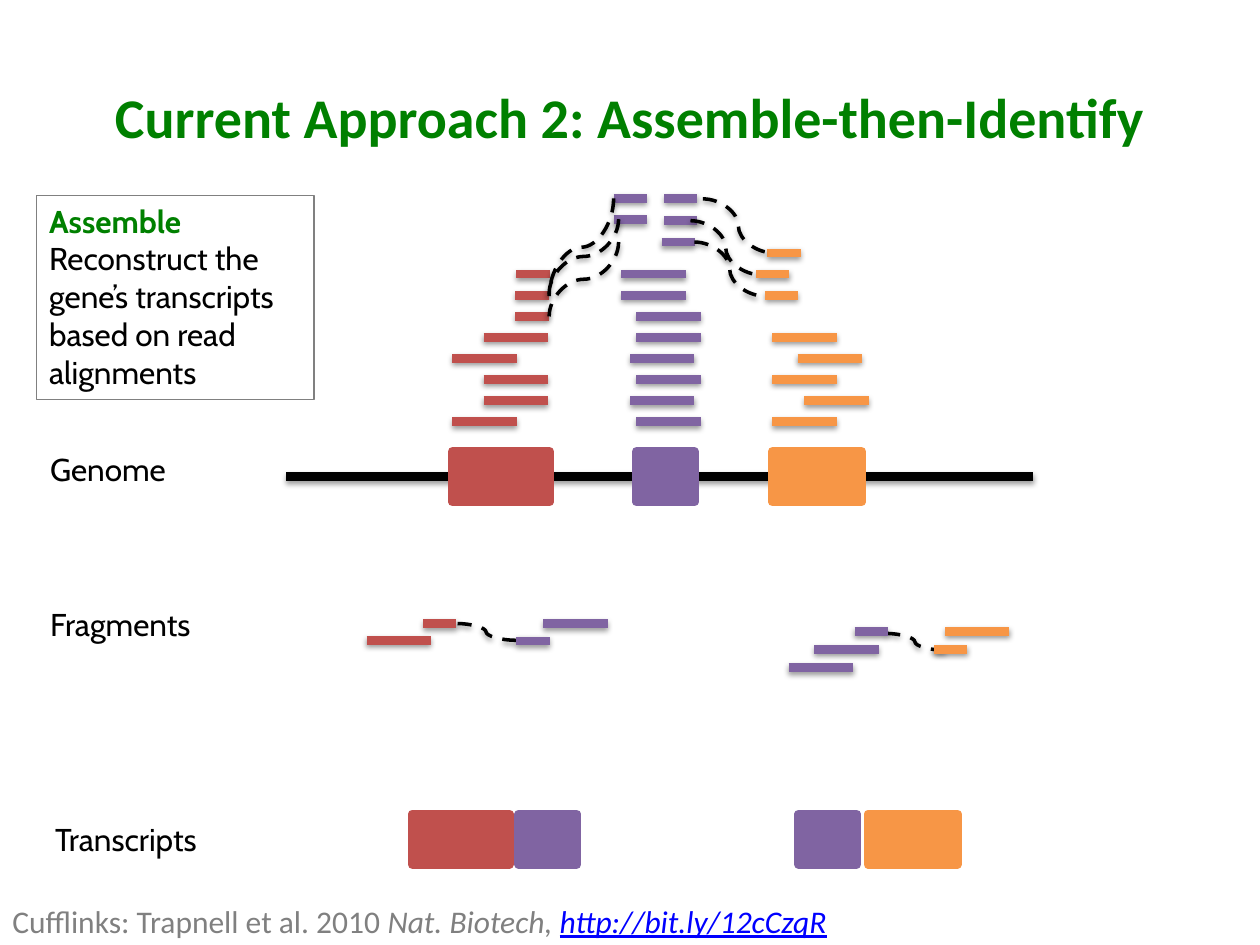
from itertools import chain
from typing import NamedTuple

from lxml.etree import SubElement
from pptx import Presentation
from pptx.dml.color import RGBColor
from pptx.enum.dml import MSO_LINE_DASH_STYLE as Dash
from pptx.enum.shapes import MSO_CONNECTOR_TYPE as ConnectorType, MSO_SHAPE as ShapeType
from pptx.enum.text import MSO_ANCHOR as Anchor, MSO_AUTO_SIZE as AutoSize, PP_ALIGN as Align
from pptx.oxml.ns import qn
from pptx.util import Cm, Pt

RED, PURPLE, ORANGE = "C0504D", "8064A2", "F79646"
BLACK, GREEN, GRAY, BLUE = "000000", "008000", "808080", "0000FF"
LONG, SHORT = 1.3, 0.67
EXON_WIDTH = {RED: 1.96, PURPLE: 1.17, ORANGE: 1.8}
EXON_HEIGHT = 1.02
GENOME_TOP, TRANSCRIPT_TOP = 9.1, 16.41
GENOME_START, GENOME_END, GENOME_Y = 5.77, 20.83, 9.61
FIRST_ROW, ROW_STEP = 8.5, 0.425


class Read(NamedTuple):
    x: float
    y: float
    color: str
    length: float = LONG


class Junction(NamedTuple):
    x1: float
    y1: float
    x2: float
    y2: float
    vertical: bool = False


class Exon(NamedTuple):
    x: float
    y: float
    color: str


class Label(NamedTuple):
    text: str
    x: float
    y: float
    width: float


def stack(color: str, positions: list[float], length: float = LONG, first: int = 0) -> list[Read]:
    return [Read(x, FIRST_ROW - ROW_STEP * row, color, length)
            for row, x in enumerate(positions, first)]


GENOME_EXONS = [Exon(x, GENOME_TOP, color)
                for x, color in ((9.12, RED), (12.83, PURPLE), (15.57, ORANGE))]
TRANSCRIPT_EXONS = [Exon(x, TRANSCRIPT_TOP, color) for x, color in
                    ((8.31, RED), (10.46, PURPLE), (16.1, PURPLE), (17.5, ORANGE))]
ALIGNED_READS = [
    *stack(RED, [9.12, 9.75, 9.75, 9.12, 9.75]),
    *stack(RED, [10.39, 10.39, 10.41], SHORT, 5),
    *stack(PURPLE, [12.83, 12.7, 12.83, 12.7, 12.83, 12.83, 12.52, 12.52]),
    *stack(ORANGE, [15.57, 16.21, 15.57, 16.08, 15.57]),
    *stack(ORANGE, [15.42, 15.24, 15.47], SHORT, 6),
    Read(12.37, 4.0, PURPLE, SHORT),
    Read(12.37, 4.43, PURPLE, SHORT),
    Read(13.39, 4.0, PURPLE, SHORT),
    Read(13.39, 4.45, PURPLE, SHORT),
    Read(13.34, 4.88, PURPLE, SHORT),
]
ALIGNED_JUNCTIONS = [
    Junction(14.0, 4.88, 15.42, 5.97),
    Junction(13.92, 4.45, 15.34, 5.54),
    Junction(14.17, 4.01, 15.6, 5.1),
    Junction(12.37, 4.0, 11.07, 5.97, True),
    Junction(12.47, 4.88, 11.07, 6.38, True),
    Junction(12.47, 4.42, 11.07, 5.92, True),
]
FRAGMENT_JUNCTIONS = [Junction(10.41, 12.91, 9.19, 12.57), Junction(19.05, 13.11, 17.84, 12.77)]
FRAGMENT_READS = [
    Read(7.39, 12.91, RED),
    Read(8.53, 12.57, RED, SHORT),
    Read(10.41, 12.92, PURPLE, SHORT),
    Read(10.95, 12.57, PURPLE),
    Read(15.9, 13.46, PURPLE),
    Read(16.41, 13.09, PURPLE),
    Read(17.23, 12.73, PURPLE, SHORT),
    Read(18.83, 13.09, ORANGE, SHORT),
    Read(19.05, 12.73, ORANGE),
]
LABELS = [
    Label("Genome", 0.76, 8.94, 2.87),
    Label("Fragments", 0.76, 12.07, 3.51),
    Label("Transcripts", 0.86, 16.41, 3.63),
]


def rgb(value: str) -> RGBColor:
    return RGBColor.from_string(value)


def add_text(paragraph, text: str, *, font: str = "Cabin", size: float = 18, color: str = BLACK,
             bold: bool = False, italic: bool = False, underline: bool = False) -> None:
    run = paragraph.add_run()
    run.text = text
    run.font.name = font
    run.font.size = Pt(size)
    run.font.color.rgb = rgb(color)
    run.font.bold = bold
    run.font.italic = italic
    run.font.underline = underline


def add_shadow(connector) -> None:
    effects = SubElement(connector._element.spPr, qn("a:effectLst"))
    shadow = SubElement(effects, qn("a:outerShdw"), blurRad=str(Pt(3.1)), dist=str(Pt(1.6)),
                        dir="5400000", rotWithShape="0")
    black = SubElement(shadow, qn("a:srgbClr"), val=BLACK)
    SubElement(black, qn("a:alpha"), val="38000")


def add_line(slide, x1: float, y1: float, x2: float, y2: float, color: str,
             width: float = 5, kind=ConnectorType.STRAIGHT):
    connector = slide.shapes.add_connector(kind, Cm(x1), Cm(y1), Cm(x2), Cm(y2))
    connector.line.color.rgb = rgb(color)
    connector.line.width = Pt(width)
    add_shadow(connector)
    return connector


def draw_read(slide, read: Read) -> None:
    add_line(slide, read.x, read.y, read.x + read.length, read.y, read.color)


def draw_junction(slide, junction: Junction) -> None:
    x1, y1, x2, y2, vertical = junction
    if vertical:
        center_x, center_y = (x1 + x2) / 2, (y1 + y2) / 2
        half_width, half_height = abs(y2 - y1) / 2, abs(x2 - x1) / 2
        x1, x2 = center_x - half_width, center_x + half_width
        y1, y2 = center_y - half_height, center_y + half_height
    connector = add_line(slide, x1, y1, x2, y2, BLACK, 2, ConnectorType.CURVE)
    connector.line.dash_style = Dash.DASH
    if vertical:
        connector._element.spPr.find(qn("a:xfrm")).set("rot", "5400000")


def draw_exon(slide, exon: Exon) -> None:
    shape = slide.shapes.add_shape(ShapeType.RECTANGLE, Cm(exon.x), Cm(exon.y),
                                   Cm(EXON_WIDTH[exon.color]), Cm(EXON_HEIGHT))
    shape.shadow.inherit = False
    shape.fill.solid()
    shape.fill.fore_color.rgb = rgb(exon.color)
    shape.line.color.rgb = rgb(exon.color)
    shape.line.width = Pt(5)


def add_box(slide, x: float, y: float, width: float, height: float = 1.02):
    box = slide.shapes.add_textbox(Cm(x), Cm(y), Cm(width), Cm(height))
    box.text_frame.word_wrap = False
    box.text_frame.auto_size = AutoSize.SHAPE_TO_FIT_TEXT
    return box


def draw_title(slide) -> None:
    title = slide.shapes.title
    title.left, title.top, title.width, title.height = Cm(1.27), Cm(0.76), Cm(22.86), Cm(3.18)
    title.text_frame.vertical_anchor = Anchor.MIDDLE
    paragraph = title.text_frame.paragraphs[0]
    paragraph.alignment = Align.CENTER
    add_text(paragraph, "Current Approach 2: Assemble-then-Identify",
             font="Calibri", size=32, color=GREEN, bold=True)


def draw_genome(slide) -> None:
    starts = [GENOME_START] + [exon.x + EXON_WIDTH[exon.color] for exon in GENOME_EXONS]
    ends = [exon.x for exon in GENOME_EXONS] + [GENOME_END]
    for start, end in zip(starts, ends):
        add_line(slide, start, GENOME_Y, end, GENOME_Y, BLACK)


def draw_citation(slide) -> None:
    paragraph = add_box(slide, 0, 18.06, 17.22).text_frame.paragraphs[0]
    add_text(paragraph, "Cufflinks: Trapnell et al. 2010 ", font="Calibri", color=GRAY)
    add_text(paragraph, "Nat. Biotech, ", font="Calibri", color=GRAY, italic=True)
    add_text(paragraph, "http://bit.ly/12cCzqR", font="Calibri", color=BLUE,
             italic=True, underline=True)


def draw_summary(slide) -> None:
    box = add_box(slide, 0.74, 3.94, 5.59, 4.11)
    box.line.color.rgb = rgb(GRAY)
    box.line.width = Pt(0.75)
    add_text(box.text_frame.paragraphs[0], "Assemble", color=GREEN, bold=True)
    for line in ("Reconstruct the", "gene’s transcripts", "based on read", "alignments"):
        add_text(box.text_frame.add_paragraph(), line)


def main() -> None:
    presentation = Presentation()
    presentation.slide_width, presentation.slide_height = Cm(25.4), Cm(19.05)
    slide = presentation.slides.add_slide(presentation.slide_layouts[5])
    draw_title(slide)
    draw_genome(slide)
    for exon in chain(GENOME_EXONS, TRANSCRIPT_EXONS):
        draw_exon(slide, exon)
    for read in ALIGNED_READS:
        draw_read(slide, read)
    for junction in chain(ALIGNED_JUNCTIONS, FRAGMENT_JUNCTIONS):
        draw_junction(slide, junction)
    for read in FRAGMENT_READS:
        draw_read(slide, read)
    for label in LABELS:
        box = add_box(slide, label.x, label.y, label.width)
        add_text(box.text_frame.paragraphs[0], label.text)
    draw_citation(slide)
    draw_summary(slide)
    presentation.save("out.pptx")


if __name__ == "__main__":
    main()
